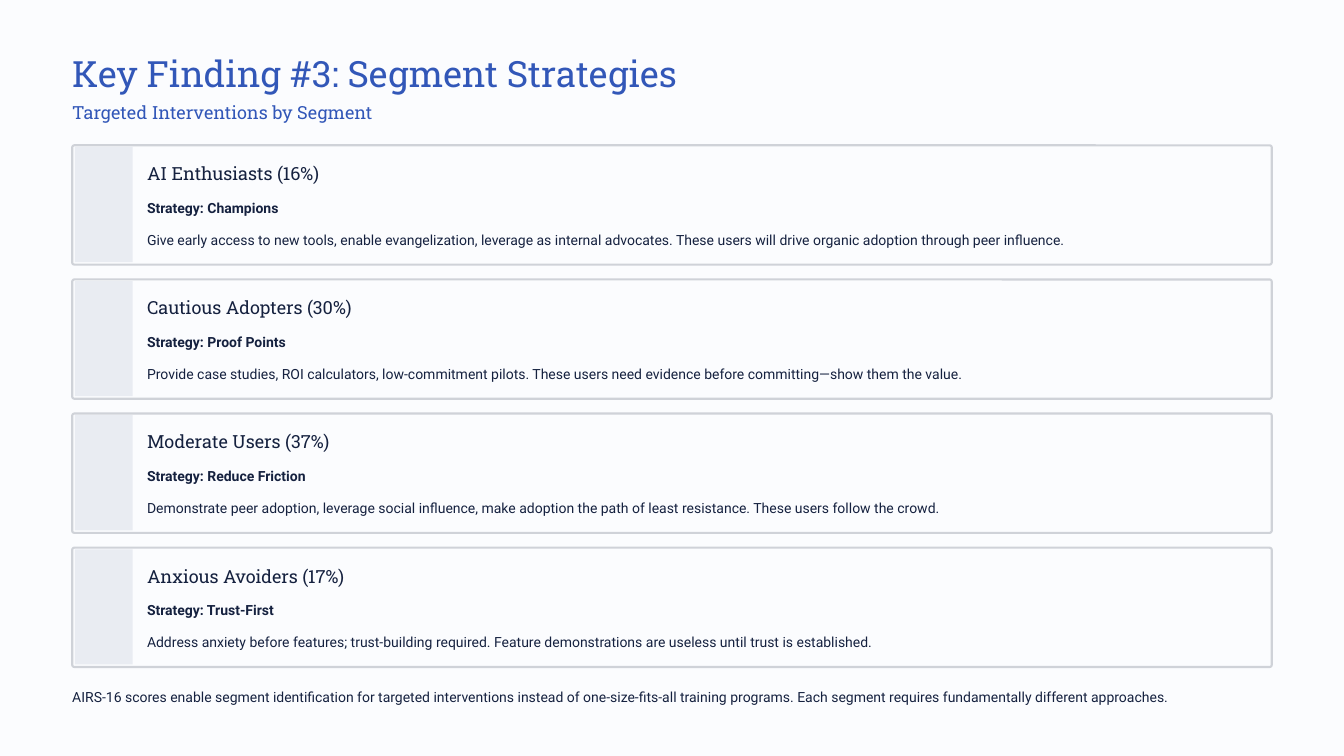
from pptx import Presentation
from pptx.dml.color import RGBColor
from pptx.enum.shapes import MSO_SHAPE
from pptx.enum.text import MSO_ANCHOR, MSO_AUTO_SIZE, PP_ALIGN
from pptx.util import Inches, Pt

BACKGROUND, STRIPE, BORDER = "FBFCFE", "E9ECF2", "CFD2D8"
BLUE, INK = "3257B8", "15213F"
HEADING_FONT, BODY_FONT = "Roboto Slab", "Roboto"

LEFT, WIDTH = 0.86, 14.28
CARDS_TOP, CARDS_HEIGHT, CARD_HEIGHT = 1.73, 6.21, 1.42

SEGMENTS = [
    ("AI Enthusiasts (16%)", "Strategy: Champions",
     "Give early access to new tools, enable evangelization, leverage as internal advocates. "
     "These users will drive organic adoption through peer influence."),
    ("Cautious Adopters (30%)", "Strategy: Proof Points",
     "Provide case studies, ROI calculators, low-commitment pilots. "
     "These users need evidence before committing—show them the value."),
    ("Moderate Users (37%)", "Strategy: Reduce Friction",
     "Demonstrate peer adoption, leverage social influence, make adoption the path of least "
     "resistance. These users follow the crowd."),
    ("Anxious Avoiders (17%)", "Strategy: Trust-First",
     "Address anxiety before features; trust-building required. "
     "Feature demonstrations are useless until trust is established."),
]
SUMMARY = ("AIRS-16 scores enable segment identification for targeted interventions instead of "
           "one-size-fits-all training programs. Each segment requires fundamentally different "
           "approaches.")


def set_fill(fill, color):
    fill.solid()
    fill.fore_color.rgb = RGBColor.from_string(color)


def write(shape, text, size, spacing, font_name, color, bold=False):
    """Put one line of formatted text at the top left of a shape, without margins."""
    frame = shape.text_frame
    frame.text = text
    frame.auto_size = MSO_AUTO_SIZE.NONE
    frame.word_wrap = False
    frame.vertical_anchor = MSO_ANCHOR.TOP
    frame.margin_left = frame.margin_right = frame.margin_top = frame.margin_bottom = 0
    paragraph = frame.paragraphs[0]
    paragraph.alignment = PP_ALIGN.LEFT
    paragraph.line_spacing = Pt(spacing)
    font = paragraph.runs[0].font
    font.name, font.size, font.bold = font_name, Pt(size), bold
    font.color.rgb = RGBColor.from_string(color)


def add_text_box(slide, left, top, width, height):
    return slide.shapes.add_textbox(Inches(left), Inches(top), Inches(width), Inches(height))


def add_heading(slide, left, top, width, text, color):
    box = add_text_box(slide, left, top, width, 0.27)
    write(box, text, 15.5, 19, HEADING_FONT, color)


def add_body_line(slide, left, top, width, text, bold=False):
    box = add_text_box(slide, left, top, width, 0.28)
    write(box, text, 12, 19.5, BODY_FONT, INK, bold)


def add_panel(slide, preset, left, top, width, height, color):
    panel = slide.shapes.add_shape(
        preset, Inches(left), Inches(top), Inches(width), Inches(height))
    panel.shadow.inherit = False
    set_fill(panel.fill, color)
    panel.line.fill.background()
    return panel


def add_header(slide, left, top, width):
    title = slide.shapes.title
    title.left, title.top = Inches(left), Inches(top)
    title.width, title.height = Inches(width), Inches(0.54)
    write(title, "Key Finding #3: Segment Strategies", 31, 38.5, HEADING_FONT, BLUE)
    add_heading(slide, left, top + 0.61, width, "Targeted Interventions by Segment", BLUE)


def add_card(slide, left, top, width, height, segment):
    name, strategy, description = segment
    card = add_panel(slide, MSO_SHAPE.ROUNDED_RECTANGLE, left, top, width, height, BACKGROUND)
    card.adjustments[0] = 0.018
    set_fill(card.line.fill, BORDER)
    card.line.width = Pt(1.8)
    add_panel(slide, MSO_SHAPE.RECTANGLE, left + 0.03, top + 0.02, 0.69, height - 0.05, STRIPE)

    text_left, text_width = left + 0.89, width - 1.09
    add_heading(slide, text_left, top + 0.2, text_width, name, INK)
    add_body_line(slide, text_left, top + 0.57, text_width, strategy, bold=True)
    add_body_line(slide, text_left, top + 0.95, text_width, description)


def add_cards(slide, left, top, width, height):
    pitch = (height - CARD_HEIGHT) / (len(SEGMENTS) - 1)
    for index, segment in enumerate(SEGMENTS):
        add_card(slide, left, top + index * pitch, width, CARD_HEIGHT, segment)


def main():
    presentation = Presentation()
    presentation.slide_width, presentation.slide_height = Inches(16), Inches(9)
    title_only = presentation.slide_layouts[5]
    slide = presentation.slides.add_slide(title_only)
    set_fill(slide.background.fill, BACKGROUND)
    add_header(slide, LEFT, 0.59, WIDTH)
    add_cards(slide, LEFT, CARDS_TOP, WIDTH, CARDS_HEIGHT)
    add_body_line(slide, LEFT, 8.13, WIDTH, SUMMARY)
    presentation.save("out.pptx")


if __name__ == "__main__":
    main()
